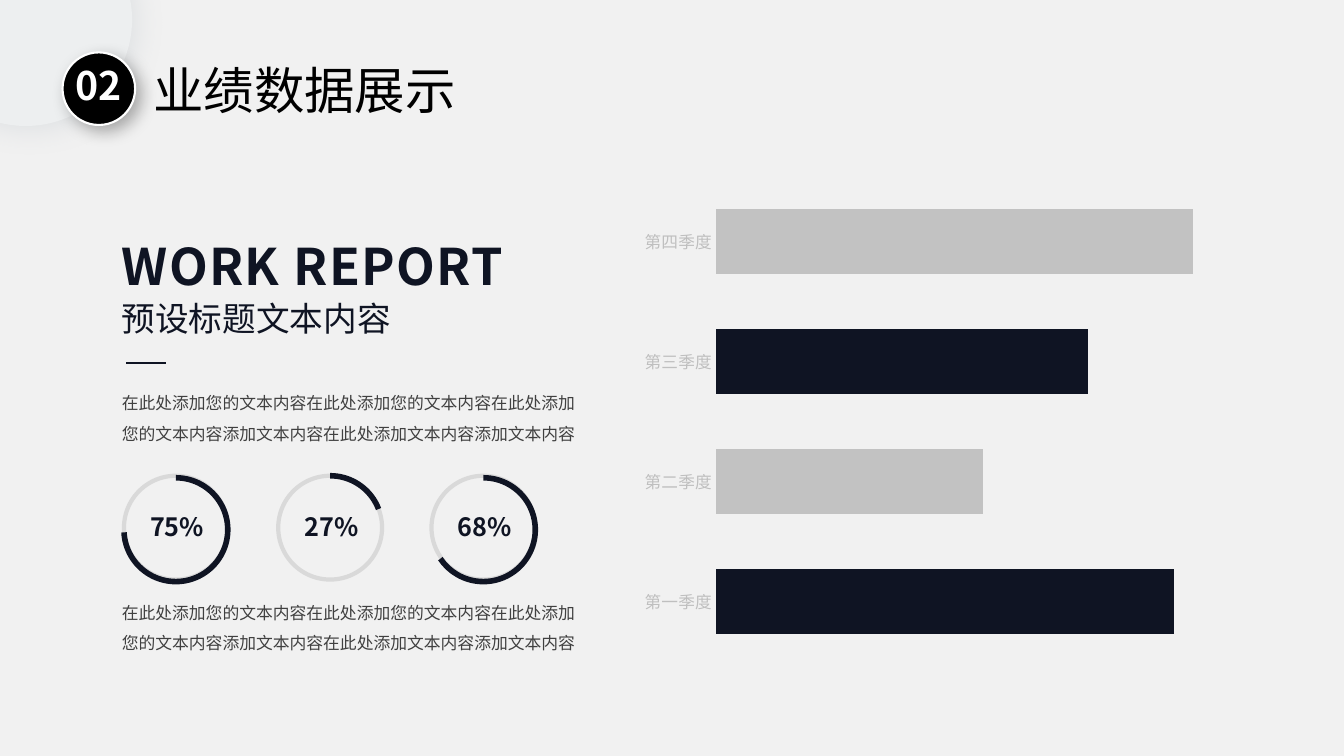
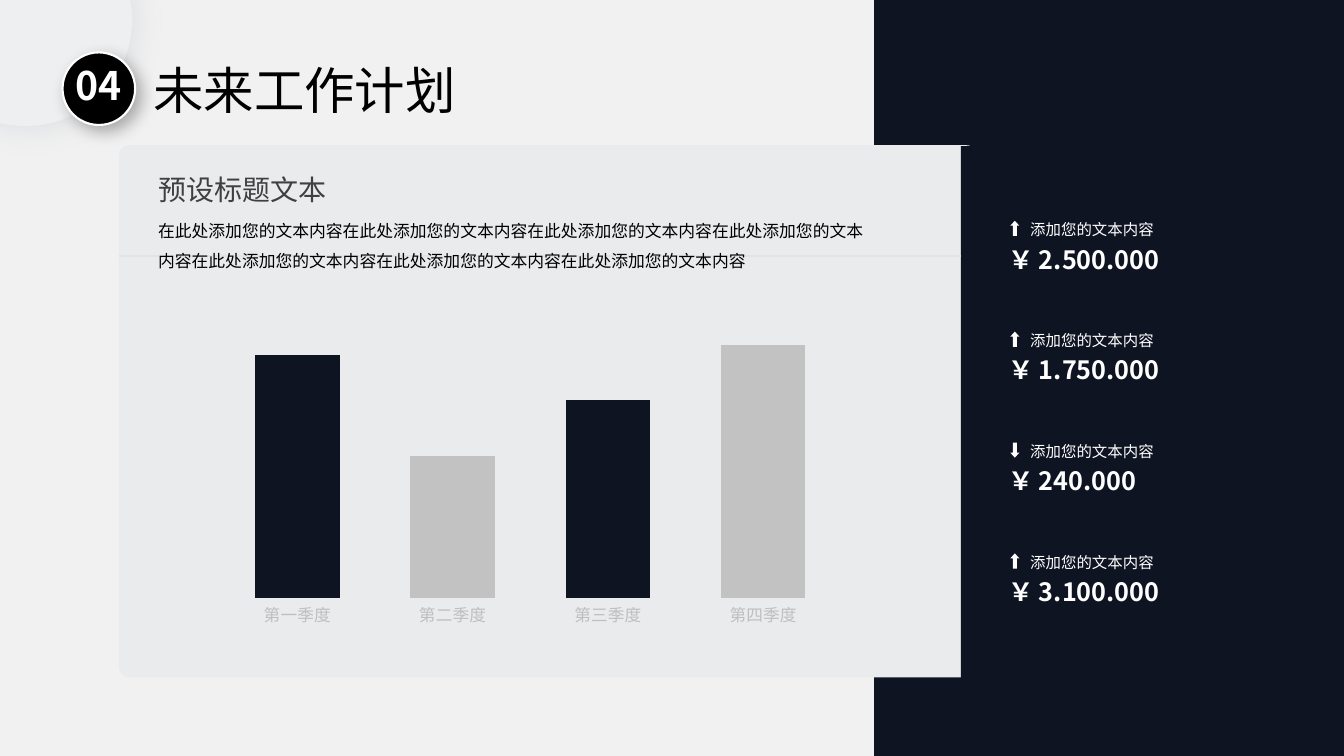
from lxml import etree
from pptx import Presentation
from pptx.chart.data import CategoryChartData
from pptx.dml.color import RGBColor
from pptx.enum.chart import XL_CHART_TYPE, XL_TICK_MARK
from pptx.enum.shapes import MSO_CONNECTOR, MSO_SHAPE
from pptx.enum.text import MSO_ANCHOR, MSO_AUTO_SIZE, PP_ALIGN
from pptx.oxml.ns import qn
from pptx.util import Inches, Pt

BAR = XL_CHART_TYPE.BAR_CLUSTERED
COLUMN = XL_CHART_TYPE.COLUMN_CLUSTERED
NO_TICKS = XL_TICK_MARK.NONE
OVAL = MSO_SHAPE.OVAL
ARC = MSO_SHAPE.ARC
RECTANGLE = MSO_SHAPE.RECTANGLE
ROUNDED = MSO_SHAPE.ROUNDED_RECTANGLE
ROUNDED_TOP = MSO_SHAPE.ROUND_2_SAME_RECTANGLE
UP = MSO_SHAPE.UP_ARROW
DOWN = MSO_SHAPE.DOWN_ARROW
STRAIGHT = MSO_CONNECTOR.STRAIGHT
TOP = MSO_ANCHOR.TOP
NO_AUTOFIT = MSO_AUTO_SIZE.NONE
LEFT, CENTER, JUSTIFY = PP_ALIGN.LEFT, PP_ALIGN.CENTER, PP_ALIGN.JUSTIFY

FONT = "Noto Sans CJK SC"
NAVY = RGBColor(0x0F, 0x14, 0x23)
BLACK = RGBColor(0x00, 0x00, 0x00)
WHITE = RGBColor(0xFF, 0xFF, 0xFF)
PAPER = RGBColor(0xF1, 0xF1, 0xF1)
PANEL = RGBColor(0xE9, 0xEB, 0xEC)
PANEL_RULE = RGBColor(0xE2, 0xE3, 0xE3)
CORNER = RGBColor(0xED, 0xEF, 0xF0)
CORNER_SHADOW = RGBColor(0xAA, 0xB4, 0xBD)
RING = RGBColor(0xD9, 0xD9, 0xD9)
SILVER = RGBColor(0xC2, 0xC2, 0xC2)
AXIS_TEXT = RGBColor(0xBF, 0xBF, 0xBF)
BODY_TEXT = RGBColor(0x40, 0x40, 0x40)

QUARTERS = {"第一季度": 96, "第二季度": 56, "第三季度": 78, "第四季度": 100}
SUMMARY = "在此处添加您的文本内容在此处添加您的文本内容在此处添加您的文本内容添加文本内容在此处添加文本内容添加文本内容"
PLAN = "在此处添加您的文本内容" * 7
RINGS = [(1.23, 4.74, 177, "75%"), (2.76, 4.72, 339, "27%"), (4.28, 4.74, 146, "68%")]
AMOUNTS = [(UP, "2.500.000"), (UP, "1.750.000"), (DOWN, "240.000"), (UP, "3.100.000")]


def set_east_asian_font(element):
    """Repeat each Latin typeface as the East Asian typeface."""
    for latin in list(element.iter(qn("a:latin"))):
        east_asian = etree.Element(qn("a:ea"), typeface=FONT)
        latin.addnext(east_asian)


class Deck:
    """Holds the shared style and the slide being drawn."""

    def __init__(self):
        """Start a widescreen presentation with the common background."""
        self.presentation = Presentation()
        self.presentation.slide_width = Inches(13.33)
        self.presentation.slide_height = Inches(7.5)
        background = self.presentation.slide_master.background.fill
        background.solid()
        background.fore_color.rgb = PAPER
        self.slide = None

    def add_slide(self, number, title):
        """Add a slide with the corner circle, number badge and title."""
        layout = self.presentation.slide_layouts.get_by_name("Title Only")
        self.slide = self.presentation.slides.add_slide(layout)
        corner = self.shape(OVAL, -0.8, -0.86, 2.11, 2.11, CORNER)
        self.shadow(corner, CORNER_SHADOW, 25, 20, 4)
        badge = self.shape(OVAL, 0.62, 0.52, 0.72, 0.72, BLACK, WHITE, 1.5)
        self.shadow(badge, BLACK, 30, 12, 6)
        heading = self.slide.shapes.title
        heading.left, heading.top = Inches(1.42), Inches(0.54)
        heading.width, heading.height = Inches(3.53), Inches(0.71)
        self.set_text(heading, title, 36, BLACK, align=JUSTIFY)
        self.text(0.65, 0.65, 0.66, 0.48, number, 28, WHITE, bold=True,
                  align=CENTER, spacing=0.8, wrap=False)

    def set_text(self, shape, text, size, color, bold=False, align=LEFT,
                 spacing=1.0, wrap=True):
        """Fill a shape with one formatted paragraph."""
        frame = shape.text_frame
        frame.text = text
        frame.word_wrap = wrap
        frame.auto_size = NO_AUTOFIT
        frame.vertical_anchor = TOP
        paragraph = frame.paragraphs[0]
        paragraph.alignment = align
        paragraph.line_spacing = spacing
        font = paragraph.runs[0].font
        font.name, font.size, font.bold = FONT, Pt(size), bold
        font.color.rgb = color
        set_east_asian_font(shape.element)

    def text(self, left, top, width, height, text, size, color, **style):
        """Add a text box."""
        box = self.slide.shapes.add_textbox(
            Inches(left), Inches(top), Inches(width), Inches(height))
        self.set_text(box, text, size, color, **style)
        return box

    def shape(self, kind, left, top, width, height, fill=None, line=None,
              weight=1, adjustments=()):
        """Add a preset shape without a shadow."""
        shape = self.slide.shapes.add_shape(
            kind, Inches(left), Inches(top), Inches(width), Inches(height))
        shape.shadow.inherit = False
        for index, value in enumerate(adjustments):
            shape.adjustments[index] = value
        if fill is None:
            shape.fill.background()
        else:
            shape.fill.solid()
            shape.fill.fore_color.rgb = fill
        if line is None:
            shape.line.fill.background()
        else:
            shape.line.color.rgb = line
            shape.line.width = Pt(weight)
        return shape

    def shadow(self, shape, color, opacity, blur, distance):
        """Give a shape a soft shadow to the lower right."""
        effects = shape.element.spPr.find(qn("a:effectLst"))
        outer = etree.SubElement(
            effects, qn("a:outerShdw"), blurRad=str(Pt(blur)),
            dist=str(Pt(distance)), dir=str(45 * 60000), rotWithShape="0")
        tint = etree.SubElement(outer, qn("a:srgbClr"), val=str(color))
        etree.SubElement(tint, qn("a:alpha"), val=str(opacity * 1000))

    def rule(self, left, right, top, color):
        """Add a thin horizontal line."""
        line = self.slide.shapes.add_connector(
            STRAIGHT, Inches(left), Inches(top), Inches(right), Inches(top))
        line.line.color.rgb = color
        line.line.width = Pt(1)
        etree.SubElement(line.element.spPr, qn("a:effectLst"))

    def ring(self, left, arc_top, end_angle, label):
        """Add a progress ring that starts at twelve o'clock."""
        top, size = 4.72, 1.03
        self.shape(OVAL, left, top, size, size, line=RING, weight=3)
        self.shape(ARC, left, arc_top, size, size, line=NAVY, weight=4,
                   adjustments=(270 * 0.6, end_angle * 0.6))
        self.text(left + 0.16, 5.02, 0.75, 0.4, label, 18, NAVY, bold=True,
                  wrap=False)

    def amount(self, top, arrow, value):
        """Add an arrow, a label and an amount of money."""
        self.text(9.9, top, 1.97, 0.4, f"￥ {value}", 18, WHITE, bold=True)
        self.text(10.12, top - 0.27, 1.44, 0.3, "添加您的文本内容", 11, WHITE,
                  spacing=1.2)
        self.shape(arrow, 10.02, top - 0.18, 0.09, 0.15, WHITE,
                   adjustments=(0.44, 0.55))

    def chart(self, kind, left, top, width, height, plot):
        """Add the quarter chart with its plot area at the given inches."""
        data = CategoryChartData()
        data.categories = list(QUARTERS)
        data.add_series("Series 1", list(QUARTERS.values()))
        chart = self.slide.shapes.add_chart(
            kind, Inches(left), Inches(top), Inches(width), Inches(height),
            data).chart
        chart.has_title = chart.has_legend = False
        chart.font.name, chart.font.size = FONT, Pt(10)
        chart.font.color.rgb = BLACK
        values = chart.value_axis
        values.minimum_scale, values.maximum_scale = 0, 100
        values.has_major_gridlines = False
        values.visible = False
        categories = chart.category_axis
        categories.major_tick_mark = categories.minor_tick_mark = NO_TICKS
        categories.format.line.fill.background()
        label_font = categories.tick_labels.font
        label_font.name, label_font.size = FONT, Pt(11.9)
        label_font.color.rgb = AXIS_TEXT
        bars = chart.plots[0]
        bars.gap_width = 84
        bars.vary_by_categories = False
        for index in range(len(QUARTERS)):
            fill = bars.series[0].points[index].format.fill
            fill.solid()
            fill.fore_color.rgb = SILVER if index % 2 else NAVY
        set_east_asian_font(chart.element)
        plot_left, plot_top, plot_width, plot_height = plot
        self.place_plot(chart, {
            "x": (plot_left - left) / width, "y": (plot_top - top) / height,
            "w": plot_width / width, "h": plot_height / height})

    def place_plot(self, chart, fractions):
        """Fix the inner plot area as fractions of the chart."""
        area = next(chart.element.iter(qn("c:plotArea")))
        for old_layout in area.findall(qn("c:layout")):
            area.remove(old_layout)
        layout = etree.Element(qn("c:layout"))
        area.insert(0, layout)
        manual = etree.SubElement(layout, qn("c:manualLayout"))
        etree.SubElement(manual, qn("c:layoutTarget"), val="inner")
        for name in "xy":
            etree.SubElement(manual, qn(f"c:{name}Mode"), val="edge")
        for name, fraction in fractions.items():
            etree.SubElement(manual, qn(f"c:{name}"), val=f"{fraction:.4f}")


def add_results(deck):
    """Draw the results slide."""
    deck.add_slide("02", "业绩数据展示")
    deck.chart(BAR, 6.28, 1.71, 6.2, 4.95, (7.1, 1.8, 4.73, 4.76))
    for ring in RINGS:
        deck.ring(*ring)
    report = deck.text(1.11, 2.22, 4.5, 0.68, "WORK REPORT", 36, NAVY,
                       bold=True, spacing=1.1)
    for properties in report.element.iter(qn("a:rPr")):
        properties.set("spc", "100")
    deck.text(1.11, 2.91, 2.87, 0.5, "预设标题文本内容", 24, NAVY, wrap=False)
    deck.rule(1.25, 1.65, 3.6, NAVY)
    for top in (3.75, 5.83):
        deck.text(1.11, top, 4.74, 0.67, SUMMARY, 12, BODY_TEXT, spacing=1.5)


def add_plan(deck):
    """Draw the plan slide."""
    deck.add_slide("04", "未来工作计划")
    deck.shape(RECTANGLE, 8.67, 0, 4.66, 7.5, NAVY)
    deck.shape(ROUNDED, 1.18, 1.44, 8.51, 5.28, PANEL, adjustments=(0.02,))
    side = deck.shape(ROUNDED_TOP, 8.2, 2.78, 5.28, 2.62, NAVY,
                      adjustments=(0.03, 0))
    side.rotation = 90
    deck.rule(1.18, 9.53, 2.54, PANEL_RULE)
    deck.text(1.47, 1.6, 4.21, 0.47, "预设标题文本", 20, BODY_TEXT, spacing=1.2)
    deck.text(1.47, 2.04, 7.33, 0.68, PLAN, 12, BLACK, spacing=1.5)
    for row, (arrow, value) in enumerate(AMOUNTS):
        deck.amount(2.37 + 1.1 * row, arrow, value)
    deck.chart(COLUMN, 2.06, 3.09, 6.41, 3.2, (2.18, 3.42, 6.16, 2.51))


def main():
    """Build and save the presentation."""
    deck = Deck()
    add_results(deck)
    add_plan(deck)
    deck.presentation.save("out.pptx")


if __name__ == "__main__":
    main()
